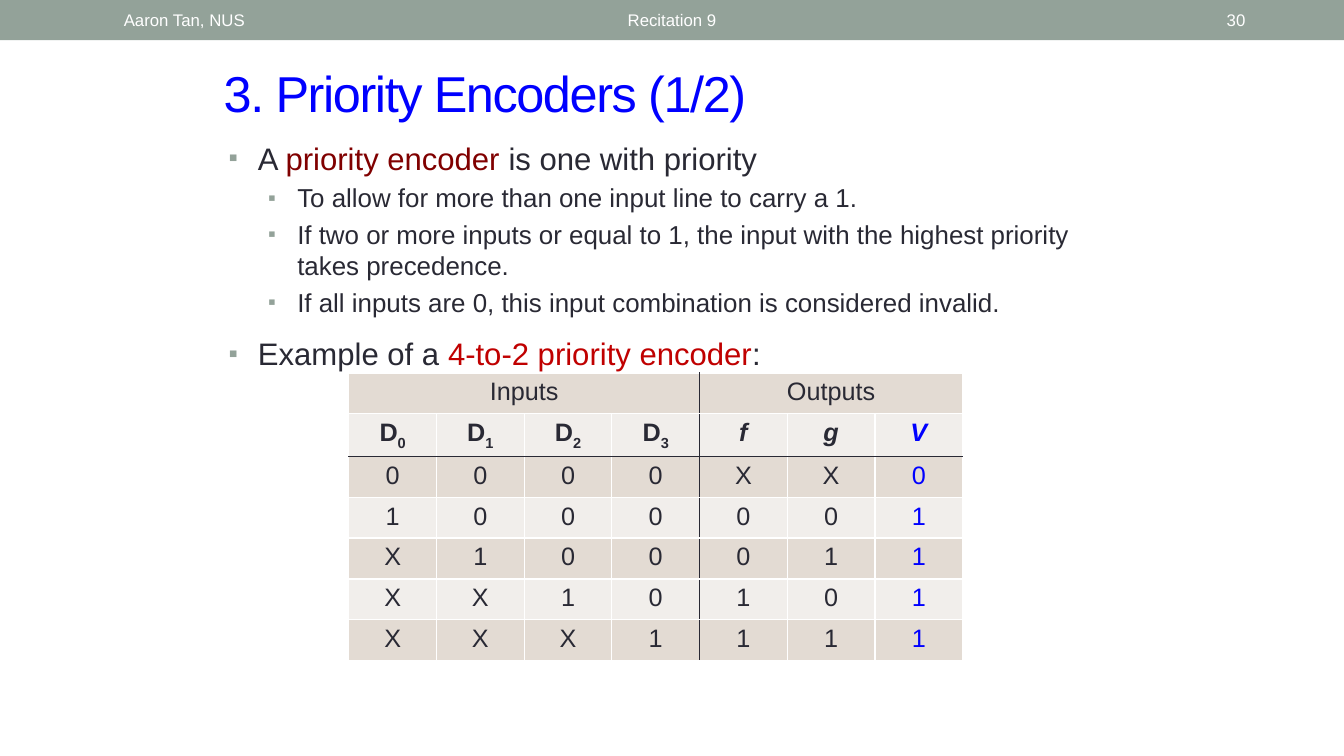
from lxml import etree
from pptx import Presentation
from pptx.dml.color import RGBColor
from pptx.enum.shapes import MSO_SHAPE
from pptx.enum.text import MSO_ANCHOR, PP_ALIGN
from pptx.oxml.ns import qn
from pptx.util import Inches, Pt

RECTANGLE = MSO_SHAPE.RECTANGLE
LEFT, CENTER, RIGHT = PP_ALIGN.LEFT, PP_ALIGN.CENTER, PP_ALIGN.RIGHT
TOP, MIDDLE = MSO_ANCHOR.TOP, MSO_ANCHOR.MIDDLE

COLORS = {
    "ink": "292934", "white": "FFFFFF", "sage": "93A299", "blue": "0000FF",
    "maroon": "800000", "red": "C00000", "band": "E3DBD3", "pale": "F1EEEB",
}

POINTS = [
    (0, [("A ", "ink"), ("priority encoder ", "maroon"), ("is one with priority", "ink")]),
    (1, [("To allow for more than one input line to carry a 1.", "ink")]),
    (1, [("If two or more inputs or equal to 1, the input with the highest "
          "priority takes precedence.", "ink")]),
    (1, [("If all inputs are 0, this input combination is considered invalid.", "ink")]),
    (0, [("Example of a ", "ink"), ("4-to-2 priority encoder", "red"), (":", "ink")]),
]

INPUTS = ["D0", "D1", "D2", "D3"]
OUTPUTS = ["f", "g", "V"]
TRUTH_ROWS = ["0000XX0", "1000001", "X100011", "XX10101", "XXX1111"]


class SlideBuilder:
    """Draws styled elements on one slide."""

    def __init__(self, slide, font="Arial"):
        self.slide = slide
        self.font = font

    def color(self, name):
        return RGBColor.from_string(COLORS[name])

    def style(self, run, size, color, bold=False, italic=False):
        run.font.name = self.font
        run.font.size = Pt(size)
        run.font.color.rgb = self.color(color)
        run.font.bold = bold
        run.font.italic = italic

    def add_run(self, paragraph, text, size, color, **emphasis):
        run = paragraph.add_run()
        run.text = text
        self.style(run, size, color, **emphasis)
        return run

    def band(self, left, top, width, height, color):
        bar = self.slide.shapes.add_shape(
            RECTANGLE, Inches(left), Inches(top), Inches(width), Inches(height))
        bar.shadow.inherit = False
        bar.fill.solid()
        bar.fill.fore_color.rgb = self.color(color)
        bar.line.fill.background()

    def frame(self, left, top, width, height, anchor):
        frame = self.slide.shapes.add_textbox(
            Inches(left), Inches(top), Inches(width), Inches(height)).text_frame
        frame.word_wrap = True
        frame.vertical_anchor = anchor
        return frame

    def label(self, text, box, size, color, align=LEFT, tracking=0):
        paragraph = self.frame(*box, MIDDLE).paragraphs[0]
        paragraph.alignment = align
        run = self.add_run(paragraph, text, size, color)
        if tracking:
            run.font._element.set("spc", str(tracking * 100))

    def bullets(self, points, box):
        frame = self.frame(*box, TOP)
        for index, (level, pieces) in enumerate(points):
            paragraph = frame.add_paragraph() if index else frame.paragraphs[0]
            paragraph.level = level
            properties = paragraph._p.get_or_add_pPr()
            properties.set("marL", str(Inches((0.29, 0.68)[level])))
            properties.set("indent", str(Inches(-0.29)))
            bullet_color = etree.SubElement(properties, qn("a:buClr"))
            etree.SubElement(bullet_color, qn("a:srgbClr"), val=COLORS["sage"])
            etree.SubElement(properties, qn("a:buSzPct"), val="85000")
            etree.SubElement(properties, qn("a:buFont"), typeface=self.font)
            etree.SubElement(properties, qn("a:buChar"), char="▪")
            if index:
                paragraph.space_before = Pt((12, 4)[level])
            for text, color in pieces:
                self.add_run(paragraph, text, (22.2, 18.5)[level], color)

    def cell(self, cell, text, color, fill, borders, subscript="", **emphasis):
        paragraph = cell.text_frame.paragraphs[0]
        paragraph.alignment = CENTER
        self.add_run(paragraph, text, 18, color, **emphasis)
        if subscript:
            index = self.add_run(paragraph, subscript, 18, color, **emphasis)
            index.font._element.set("baseline", "-25000")
            cell.margin_bottom = Inches(0.03)
        properties = cell._tc.get_or_add_tcPr()
        for side, border in zip("LRTB", borders):
            line = etree.SubElement(properties, qn("a:ln" + side), w=str(Pt(1)))
            solid = etree.SubElement(line, qn("a:solidFill"))
            etree.SubElement(solid, qn("a:srgbClr"), val=COLORS[border])
        cell.fill.solid()
        cell.fill.fore_color.rgb = self.color(fill)

    def truth_table(self, inputs, outputs, rows, box):
        names = inputs + outputs
        split, last = len(inputs), len(names) - 1
        left, top, width, height = box
        table = self.slide.shapes.add_table(
            len(rows) + 2, len(names),
            Inches(left), Inches(top), Inches(width), Inches(height)).table
        table.first_row = table.horz_banding = False
        for column in table.columns:
            column.width = Inches(width / len(names))
        for row in table.rows:
            row.height = Inches(height / len(table.rows))
        table.cell(0, 0).merge(table.cell(0, split - 1))
        table.cell(0, split).merge(table.cell(0, last))
        headings = {0: "Inputs", split: "Outputs"}
        for r in range(len(table.rows)):
            for c, name in enumerate(names):
                cell = table.cell(r, c)
                if cell.is_spanned:
                    continue
                end = c + cell.span_width
                borders = ["ink" if edge else "white"
                           for edge in (c == split, end == split, r == 2, r == 1)]
                fill = ("band", "pale")[r % 2]
                color = "blue" if c == last else "ink"
                if r == 0:
                    self.cell(cell, headings[c], color, fill, borders)
                elif r == 1:
                    self.cell(cell, name[0], color, fill, borders, name[1:],
                              bold=True, italic=c >= split)
                else:
                    self.cell(cell, rows[r - 2][c], color, fill, borders)


def main():
    deck = Presentation()
    deck.slide_width, deck.slide_height = Inches(13.33), Inches(7.5)
    builder = SlideBuilder(deck.slides.add_slide(deck.slide_layouts[6]))
    builder.band(0, 0, 13.33, 0.4, "sage")
    builder.label("3. Priority Encoders (1/2)", (2.12, 0.57, 9.21, 0.7), 36, "blue",
                  tracking=-1)
    builder.bullets(POINTS, (2.17, 1.33, 8.75, 2.31))
    builder.truth_table(INPUTS, OUTPUTS, TRUTH_ROWS, (3.46, 3.7, 6.09, 2.84))
    for text, left, width, align in [("Recitation 9", 3.02, 7.29, CENTER),
                                     ("Aaron Tan, NUS", 1.13, 3.17, LEFT),
                                     ("30", 11.5, 0.95, RIGHT)]:
        builder.label(text, (left, 0.02, width, 0.36), 12, "white", align)
    deck.save("out.pptx")


if __name__ == "__main__":
    main()
